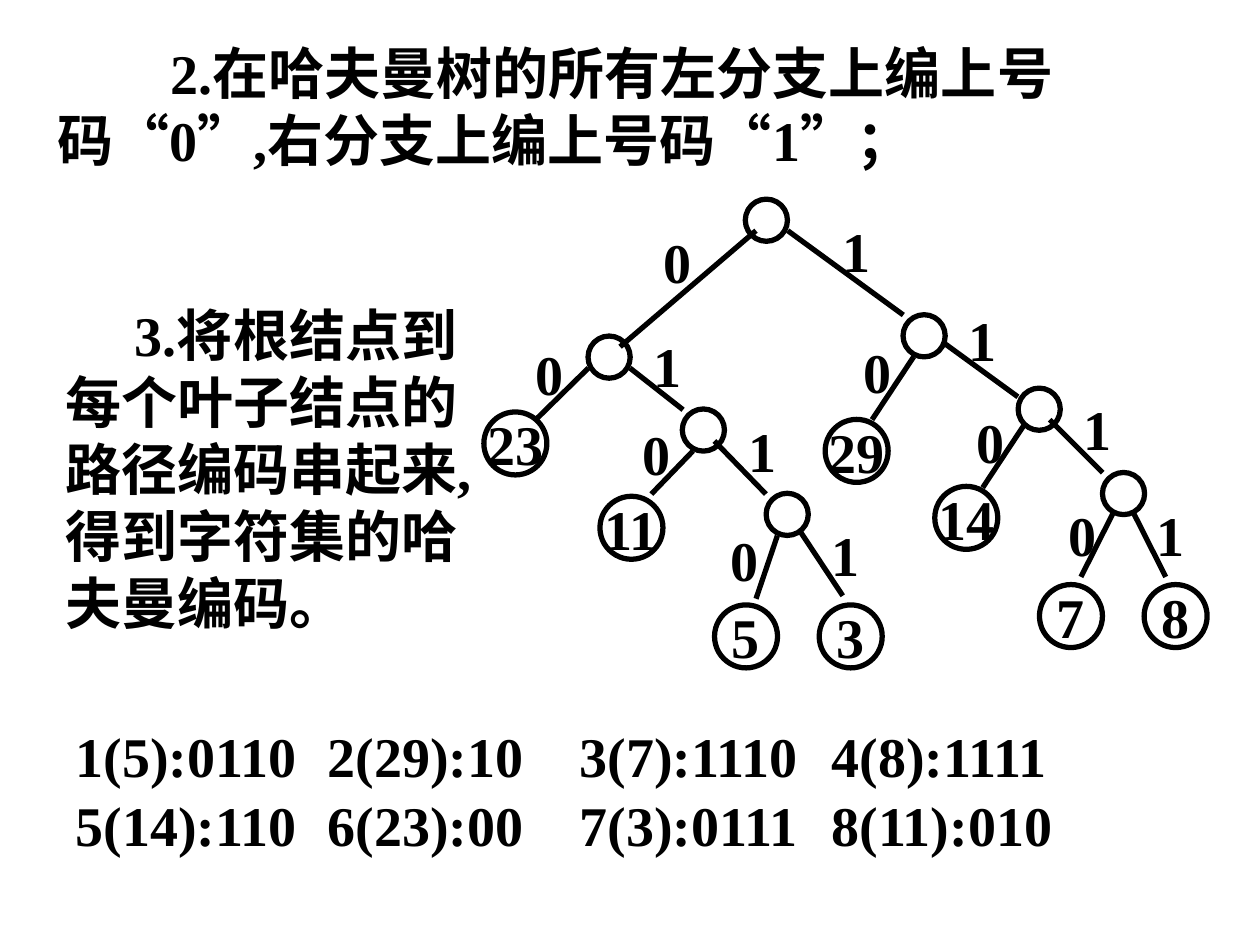
from lxml import etree
from pptx import Presentation
from pptx import util as u
from pptx.dml.color import RGBColor
from pptx.enum import lang, shapes, text
from pptx.oxml.ns import qn

THEME = {
    "font": "Times New Roman",
    "ink": RGBColor(0, 0, 0),
    "paper": RGBColor(255, 255, 255),
    "size": u.Pt(32),
    "line": u.Pt(3),
    "code_leading": u.Pt(39),
}

STEP_2 = "2.在哈夫曼树的所有左分支上编上号码“0”,右分支上编上号码“1”；"
STEP_3 = "3.将根结点到每个叶子结点的路径编码串起来,得到字符集的哈夫曼编码。"
CODES = [
    ["1(5):0110", "2(29):10", "3(7):1110", "4(8):1111"],
    ["5(14):110", "6(23):00", "7(3):0111", "8(11):010"],
]
CODE_TABS = [5.59, 10.67, 16.17]

INNER_D, LEAF_D = 0.85, 1.27
INNER_NODES = [
    (15.45, 4.44), (12.28, 7.2), (14.18, 8.67), (15.87, 10.37),
    (18.63, 6.77), (20.95, 8.25), (22.65, 9.95),
]
LEAVES = [
    ("23", 10.39, 8.94), ("11", 12.73, 10.64), ("5", 15.04, 12.83), ("3", 17.15, 12.83),
    ("29", 17.27, 9.09), ("14", 19.48, 10.44), ("7", 21.59, 12.42), ("8", 23.7, 12.42),
]
BIT_W, BIT_H = 1.07, 1.63
BRANCHES = [
    ("0", (13.13, 4.45), (15.24, 4.65), (12.5, 6.99)),
    ("0", (10.54, 6.71), (11.86, 7.42), (10.8, 8.46)),
    ("1", (12.93, 6.55), (12.7, 7.42), (13.77, 8.26)),
    ("0", (12.7, 8.33), (13.97, 9.09), (13.13, 9.96)),
    ("1", (14.83, 8.26), (14.4, 8.89), (15.44, 9.96)),
    ("0", (14.48, 10.46), (15.67, 10.8), (15.24, 12.07)),
    ("1", (16.51, 10.36), (16.15, 10.74), (16.99, 12.01)),
    ("1", (16.74, 4.24), (15.88, 4.65), (18.21, 6.35)),
    ("0", (17.15, 6.68), (18.42, 7.19), (17.58, 8.46)),
    ("1", (19.28, 6.02), (19.05, 6.93), (20.52, 8)),
    ("0", (19.43, 8.08), (20.65, 8.56), (19.81, 9.83)),
    ("1", (21.59, 7.82), (21.16, 8.46), (22.23, 9.53)),
    ("0", (21.29, 9.96), (22.43, 10.36), (21.79, 11.63)),
    ("1", (23.06, 9.96), (22.86, 10.36), (23.5, 11.63)),
]


def cm(*values):
    return [u.Cm(v) for v in values]


def write(sp, *lines, align=text.PP_ALIGN.LEFT, anchor=text.MSO_ANCHOR.TOP,
          wrap=True, inset=(0.25, 0.13), indent=0, tabs=(), leading=1.0):
    tf = sp.text_frame
    tf.auto_size = text.MSO_AUTO_SIZE.NONE
    tf.word_wrap = wrap
    tf.vertical_anchor = anchor
    tf.margin_left = tf.margin_right = u.Cm(inset[0])
    tf.margin_top = tf.margin_bottom = u.Cm(inset[1])
    for i, line in enumerate(lines):
        p = tf.add_paragraph() if i else tf.paragraphs[0]
        pPr = p._p.get_or_add_pPr()
        pPr.set("marL", "0")
        pPr.set("indent", str(u.Cm(indent)))
        etree.SubElement(pPr, qn("a:buNone"))
        if tabs:
            tab_list = etree.SubElement(pPr, qn("a:tabLst"))
            for pos in tabs:
                etree.SubElement(tab_list, qn("a:tab"), pos=str(u.Cm(pos)), algn="l")
        p.alignment = align
        p.space_before = u.Pt(0)
        p.line_spacing = leading
        r = p.add_run()
        r.text = line
        r.font.name = THEME["font"]
        r.font.size = THEME["size"]
        r.font.bold = True
        r.font.color.rgb = THEME["ink"]
        r.font.language_id = lang.MSO_LANGUAGE_ID.SIMPLIFIED_CHINESE


def place(sp, left, top, width, height):
    sp.left, sp.top, sp.width, sp.height = cm(left, top, width, height)
    return sp


def add_node(s, x, y, d):
    sp = s.shapes.add_shape(shapes.MSO_SHAPE.OVAL, *cm(x - d / 2, y - d / 2, d, d))
    sp.shadow.inherit = False
    sp.fill.background()
    sp.line.color.rgb = THEME["ink"]
    sp.line.width = THEME["line"]
    return sp


def add_branch(s, start, end):
    cx = s.shapes.add_connector(shapes.MSO_CONNECTOR.STRAIGHT, *cm(*start, *end))
    cx.line.color.rgb = THEME["ink"]
    cx.line.width = THEME["line"]
    etree.SubElement(cx._element.spPr, qn("a:effectLst"))


def main():
    prs = Presentation()
    prs.slide_width, prs.slide_height = cm(25.4, 19.05)
    s = prs.slides.add_slide(prs.slide_layouts[1])
    s.background.fill.solid()
    s.background.fill.fore_color.rgb = THEME["paper"]

    write(place(s.shapes.title, 0.91, 0.64, 23.93, 2.97), STEP_2, indent=2.28)
    write(place(s.placeholders[1], 1.07, 5.92, 8.46, 7.04), STEP_3, indent=1.4)

    for x, y in INNER_NODES:
        add_node(s, x, y, INNER_D)
    for weight, x, y in LEAVES:
        write(add_node(s, x, y, LEAF_D), weight, align=text.PP_ALIGN.CENTER,
              anchor=text.MSO_ANCHOR.MIDDLE, wrap=False, inset=(0, 0))
    for bit, corner, start, end in BRANCHES:
        add_branch(s, start, end)
        sp = s.shapes.add_textbox(*cm(*corner, BIT_W, BIT_H))
        write(sp, bit, align=text.PP_ALIGN.CENTER, wrap=False)

    sp = s.shapes.add_textbox(*cm(1.27, 14.4, 21.79, 2.87))
    write(sp, *["\t".join(row) for row in CODES], tabs=CODE_TABS,
          leading=THEME["code_leading"])

    prs.save("out.pptx")


if __name__ == "__main__":
    main()
